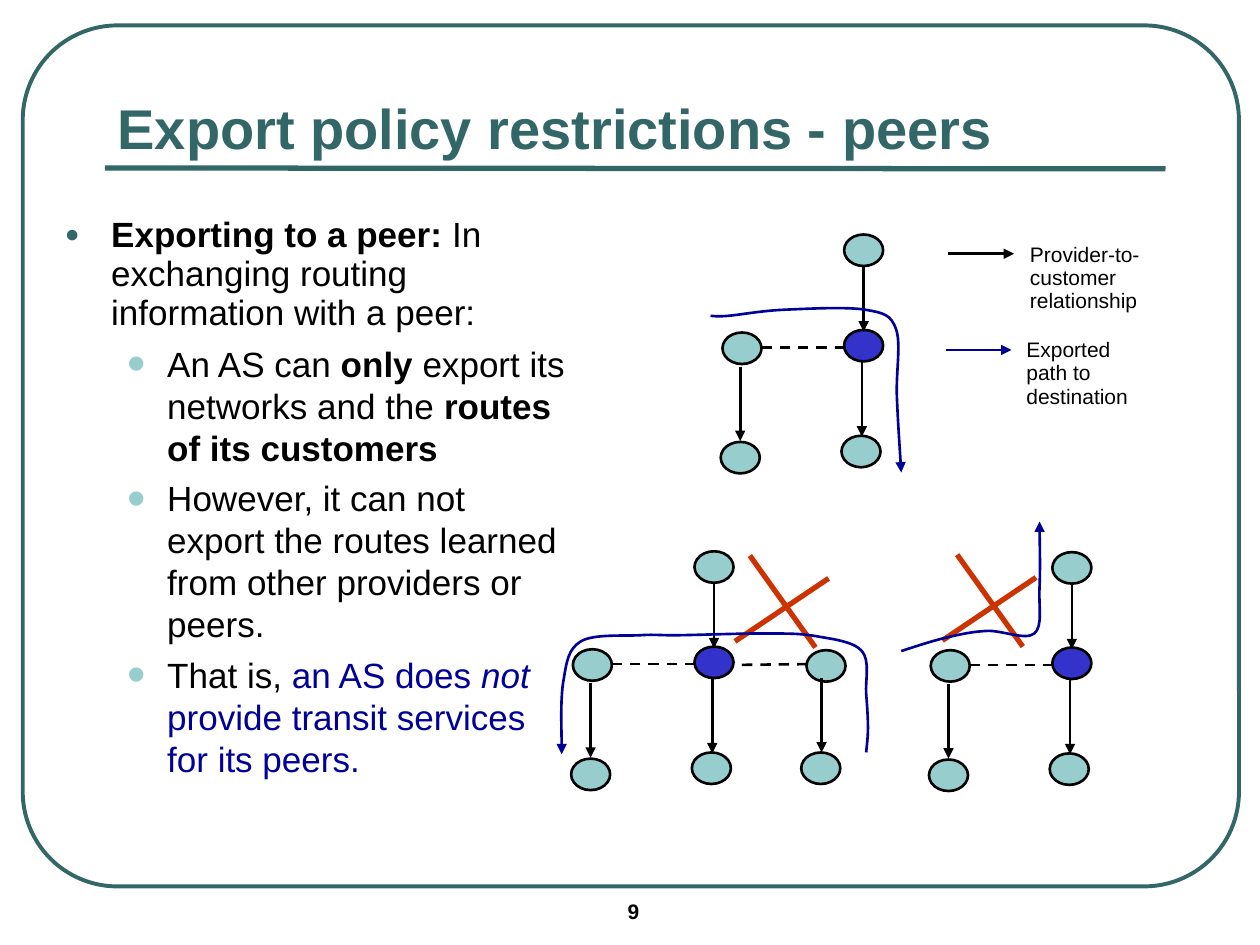
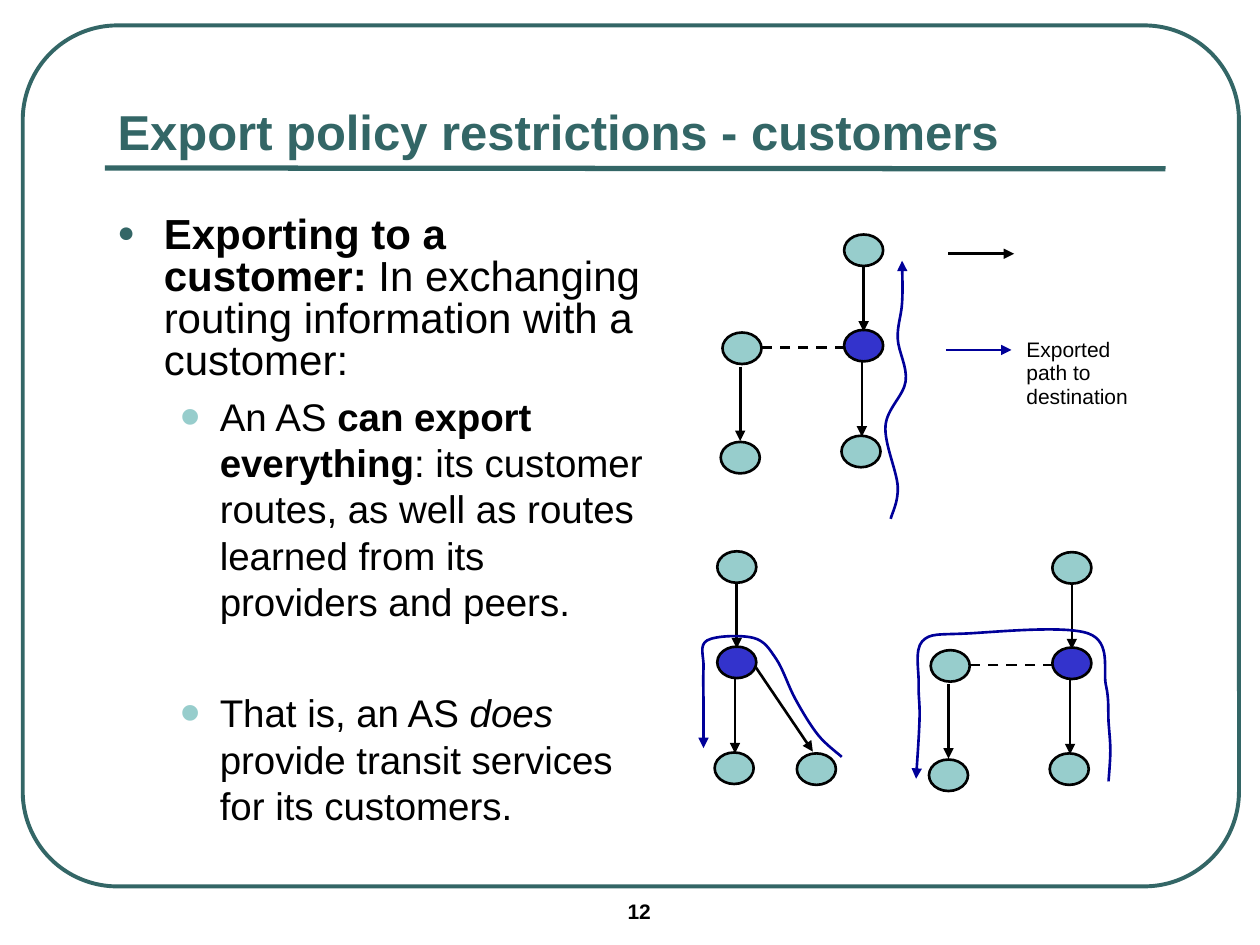
from lxml.etree import SubElement
from pptx import Presentation
from pptx.dml.color import RGBColor
from pptx.enum.dml import MSO_LINE
from pptx.enum.shapes import MSO_CONNECTOR, MSO_SHAPE
from pptx.enum.text import MSO_ANCHOR, MSO_AUTO_SIZE, PP_ALIGN
from pptx.oxml.ns import qn
from pptx.util import Pt

TEAL = RGBColor(0x33, 0x66, 0x66)
AQUA = RGBColor(0x97, 0xCD, 0xCC)
BLUE = RGBColor(0x33, 0x33, 0xCC)
NAVY = RGBColor(0x00, 0x00, 0x99)
RED = RGBColor(0xCC, 0x33, 0x00)
BLACK = RGBColor(0, 0, 0)
FONT = "Arial"
NODE_W, NODE_H = 22.3, 18
TIGHT = 0.93

# Offsets from the hub: nodes are centres, arrows and dashes are end points.
PARTS = {
    "provider": dict(nodes=[(0, -54.5)], arrows=[(0, -45.5, 0, -8)]),
    "customer": dict(nodes=[(-1.5, 60.5)], arrows=[(-1, 9.5, -1, 52)]),
    "left peer": dict(nodes=[(-69.5, 1.5), (-70.5, 64)],
                      arrows=[(-70.5, 12, -70.5, 54.5)], dashes=[(-10.5, 1, -60, 1)]),
    "right peer": dict(nodes=[(64, 2), (61, 60.5)],
                       arrows=[(61.5, 9, 61.5, 51.5)], dashes=[(53.5, 1, 11, 1.5)]),
    "second customer": dict(nodes=[(45.5, 61)], arrows=[(11, 3, 43.5, 51)]),
}
CHAIN = ["provider", "customer"]
SQUARE = CHAIN + ["left peer"]
TOP, LOWER_RIGHT = (493.5, 197.5), (612.5, 379)
CROSS = [(53.5, 13, 0, 49), (8.5, 0, 46, 52.5)]

LEGEND = [((542, 145), BLACK, (581.5, 135.5)), ((540.5, 200), NAVY, (579.5, 190))]
EXPORTED = "Exported path to destination"

SLIDES = [
    dict(
        title="Export policy restrictions - peers", title_size=32, number="9",
        body=(30, 302), size=(20, 20), head_spacing=TIGHT, before=[5, 5, 5, 5],
        text=[
            [("Exporting to a peer: ", "b"),
             ("In exchanging routing information with a peer:", "")],
            [("An AS can ", ""), ("only", "b"), (" export its networks and the ", ""),
             ("routes of its customers", "b")],
            [("However, it can not export the routes learned from other providers "
              "or peers.", "")],
            [("That is, ", ""), ("an AS does ", "n"), ("not ", "ni"),
             ("provide transit services for its peers.", "n")],
        ],
        labels=["Provider-to-customer relationship", EXPORTED],
        networks=[(TOP, SQUARE), (LOWER_RIGHT, SQUARE),
                  ((408, 378.5), SQUARE + ["right peer"])],
        crosses=[(538.5, 317), (420, 317.5)],
        routes=[
            [(406, 180.5), (416, 180.5), (448, 177), (494.5, 177), (512, 188),
             (512.5, 226), (515, 270)],
            [(515, 372), (540, 364.5), (564, 360.5), (591, 362), (594, 336), (594, 298)],
            [(495, 430), (496, 416), (495, 396.5), (492.5, 372), (466, 363.5),
             (436.5, 362), (388, 363), (366, 363), (332, 366.5), (322, 389), (321, 431)],
        ],
    ),
    dict(
        title="Export policy restrictions - customers", title_size=28, number="12",
        body=(60, 317), size=(24, 22), head_spacing=0.83, before=[6, 5.5, 37.4],
        text=[
            [("Exporting to a customer: ", "b"),
             ("In exchanging routing information with a customer:", "")],
            [("An AS ", ""), ("can export everything", "b"),
             (": its customer routes, as well as routes learned from its providers "
              "and peers.", "")],
            [("That is, an AS ", ""), ("does ", "i"),
             ("provide transit services for its customers.", "")],
        ],
        labels=["", EXPORTED],
        networks=[(TOP, SQUARE), (LOWER_RIGHT, SQUARE),
                  ((421, 378.5), CHAIN + ["second customer"])],
        crosses=[],
        routes=[
            [(509, 296.5), (513, 278), (506, 243.5), (517.5, 218), (513, 193.5),
             (515.5, 173), (515.5, 149)],
            [(633.5, 446.5), (634.5, 429), (633.5, 412.5), (632, 391.5), (622, 362),
             (552, 362), (527, 366.5), (525, 391), (525.5, 410.5), (523.5, 445)],
            [(481, 432.5), (467.5, 420), (454.5, 399.5), (443.5, 376.5), (430.5, 364.5),
             (404, 366), (402, 381.5), (402, 404), (402, 427.5)],
        ],
    ),
]


def add_run(p, text, size, color=BLACK, bold=False, italic=False):
    r = p.add_run()
    r.text = text
    r.font.name, r.font.size = FONT, Pt(size)
    r.font.bold, r.font.italic = bold, italic
    r.font.color.rgb = color


def add_text_box(s, x, y, w, h):
    tf = s.shapes.add_textbox(Pt(x), Pt(y), Pt(w), Pt(h)).text_frame
    tf.word_wrap = True
    return tf


def add_label(s, text, x, y, w, h, bold=False):
    p = add_text_box(s, x, y, w, h).paragraphs[0]
    p.line_spacing = TIGHT
    add_run(p, text, 12, bold=bold)


def add_arrowhead(line):
    SubElement(line._get_or_add_ln(), qn("a:tailEnd"), type="triangle")


def add_line(s, ends, color=BLACK, width=1.5, origin=(0, 0), arrow=False, dash=False):
    x, y = origin
    x1, y1, x2, y2 = ends
    c = s.shapes.add_connector(MSO_CONNECTOR.STRAIGHT, Pt(x + x1), Pt(y + y1),
                               Pt(x + x2), Pt(y + y2))
    c.line.color.rgb, c.line.width = color, Pt(width)
    if dash:
        c.line.dash_style = MSO_LINE.DASH
    if arrow:
        add_arrowhead(c.line)
    SubElement(c._element.spPr, qn("a:effectLst"))


def add_outline(sp, color, width):
    sp.shadow.inherit = False
    sp.line.color.rgb, sp.line.width = color, Pt(width)


def add_node(s, x, y, color):
    sp = s.shapes.add_shape(MSO_SHAPE.OVAL, Pt(x - NODE_W / 2), Pt(y - NODE_H / 2),
                            Pt(NODE_W), Pt(NODE_H))
    sp.fill.solid()
    sp.fill.fore_color.rgb = color
    add_outline(sp, BLACK, 1.5)


def add_network(s, hub, names):
    x, y = hub
    add_node(s, x, y, BLUE)
    for part in (PARTS[name] for name in names):
        for dx, dy in part["nodes"]:
            add_node(s, x + dx, y + dy, AQUA)
        for ends in part["arrows"]:
            add_line(s, ends, origin=hub, arrow=True)
        for ends in part.get("dashes", []):
            add_line(s, ends, origin=hub, dash=True)


def add_route(s, knots):
    """Draw a smooth arrow through the knots, with Catmull-Rom control points."""
    start, *rest = [(Pt(x), Pt(y)) for x, y in knots]
    fb = s.shapes.build_freeform(*start)
    fb.add_line_segments(rest, close=False)
    sp = fb.convert_to_shape()
    sp.fill.background()
    add_outline(sp, NAVY, 1.5)
    add_arrowhead(sp.line)
    curve = sp._element.xpath(".//a:path")[0]
    pts = [(int(pt.get("x")), int(pt.get("y"))) for pt in curve.iter(qn("a:pt"))]
    padded = [pts[0], *pts, pts[-1]]
    for i, seg in enumerate(curve.findall(qn("a:lnTo"))):
        a, b, c, d = padded[i:i + 4]
        curve.remove(seg)
        bezier = SubElement(curve, qn("a:cubicBezTo"))
        leave = [q + (n - m) / 6 for m, q, n in zip(a, b, c)]
        arrive = [q - (n - m) / 6 for m, q, n in zip(b, c, d)]
        for px, py in (leave, arrive, c):
            SubElement(bezier, qn("a:pt"), x=str(round(px)), y=str(round(py)))


def add_bullet(p, char, color, percent, margin, hang):
    pPr = p._p.get_or_add_pPr()
    pPr.set("marL", str(Pt(margin)))
    pPr.set("indent", str(-Pt(hang)))
    SubElement(SubElement(pPr, qn("a:buClr")), qn("a:srgbClr"), val=str(color))
    SubElement(pPr, qn("a:buSzPct"), val=str(percent * 1000))
    SubElement(pPr, qn("a:buFont"), typeface=FONT)
    SubElement(pPr, qn("a:buChar"), char=char)


def add_body(s, spec):
    left, width = spec["body"]
    tf = add_text_box(s, left, 120, width, 371)
    for i, runs in enumerate(spec["text"]):
        p = tf.add_paragraph() if i else tf.paragraphs[0]
        p.space_before = Pt(spec["before"][i])
        if i:
            add_bullet(p, "•", AQUA, 150, 58.5, 22.5)
        else:
            p.line_spacing = spec["head_spacing"]
            add_bullet(p, "●", TEAL, 70, 26.5, 26.5)
        for text, style in runs:
            add_run(p, text, spec["size"][min(i, 1)], NAVY if "n" in style else BLACK,
                    "b" in style, "i" in style)


def add_frame(s, spec):
    add_label(s, spec["number"], 351.5, 511, 84, 21, bold=True)
    sp = s.shapes.add_shape(MSO_SHAPE.ROUNDED_RECTANGLE, Pt(13), Pt(14.5), Pt(695), Pt(492))
    sp.adjustments[0] = 0.11
    sp.fill.background()
    add_outline(sp, TEAL, 2.25)
    add_line(s, (60, 96, 666, 96.5), TEAL, 3)
    title = s.shapes.title
    title.left, title.top, title.width, title.height = Pt(60), Pt(42), Pt(606), Pt(54)
    tf = title.text_frame
    tf.auto_size, tf.vertical_anchor = MSO_AUTO_SIZE.NONE, MSO_ANCHOR.BOTTOM
    p = tf.paragraphs[0]
    p.alignment, p.line_spacing = PP_ALIGN.LEFT, TIGHT
    add_run(p, spec["title"], spec["title_size"], TEAL, bold=True)


def add_legend(s, labels):
    for (start, color, place), label in zip(LEGEND, labels):
        add_line(s, (0, 0, 37.5, 0), color, origin=start, arrow=True)
        if label:
            add_label(s, label, *place, 88, 47.5)


def main():
    prs = Presentation()
    prs.slide_width, prs.slide_height = Pt(720), Pt(540)
    for spec in SLIDES:
        s = prs.slides.add_slide(prs.slide_layouts[5])
        add_frame(s, spec)
        add_body(s, spec)
        add_legend(s, spec["labels"])
        for hub, names in spec["networks"]:
            add_network(s, hub, names)
        for origin in spec["crosses"]:
            for ends in CROSS:
                add_line(s, ends, RED, 3, origin)
        for knots in spec["routes"]:
            add_route(s, knots)
    prs.save("out.pptx")


if __name__ == "__main__":
    main()
